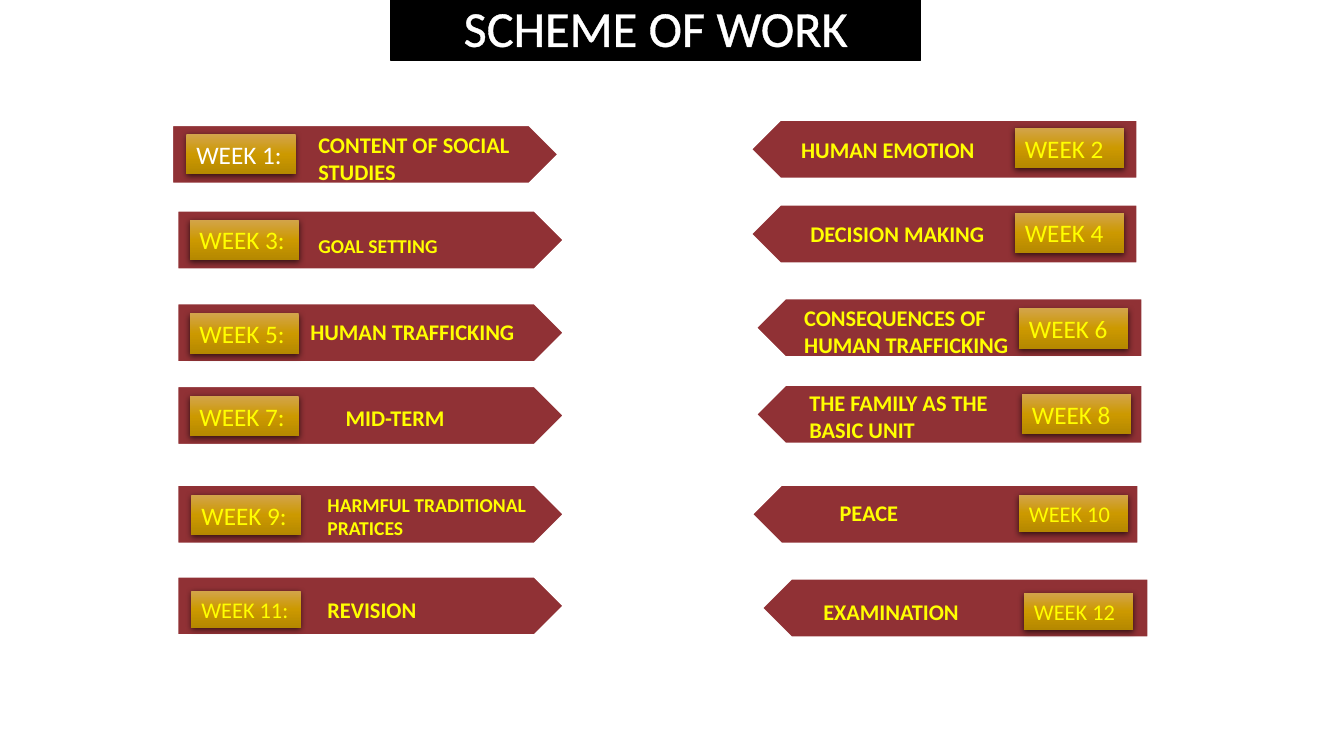
from dataclasses import dataclass

from pptx import Presentation
from pptx.dml.color import RGBColor
from pptx.enum.shapes import MSO_SHAPE
from pptx.enum.text import MSO_ANCHOR, MSO_AUTO_SIZE, PP_ALIGN
from pptx.oxml import parse_xml
from pptx.oxml.ns import nsdecls
from pptx.util import Pt

PENTAGON, RECTANGLE = MSO_SHAPE.PENTAGON, MSO_SHAPE.RECTANGLE
TOP, MIDDLE = MSO_ANCHOR.TOP, MSO_ANCHOR.MIDDLE
LEFT, CENTER = PP_ALIGN.LEFT, PP_ALIGN.CENTER
NO_AUTOFIT = MSO_AUTO_SIZE.NONE


@dataclass(frozen=True)
class Theme:
    font: str = "Calibri"
    white: str = "FFFFFF"
    black: str = "000000"
    banner: str = "903135"
    yellow: str = "FFFF00"
    gold: tuple = ((0, "D3A44B"), (50, "CC9900"), (100, "B58800"))
    title_size: int = 36
    week_size: int = 18
    long_week_size: int = 16
    topic_size: int = 16
    small_topic_size: int = 14


THEME = Theme()
BANNER_WIDTH, BANNER_HEIGHT, BADGE_WIDTH = 276, 42, 78


@dataclass(frozen=True)
class Week:
    """Banner, badge and topic are (left, top) in points."""
    topic: str
    banner: tuple
    badge: tuple
    topic_at: tuple
    topic_width: float
    lines: int = 1
    size: int = THEME.topic_size


SMALL = THEME.small_topic_size
WEEKS = [
    Week("CONTENT OF SOCIAL STUDIES", (123, 89.3), (133.2, 95.8), (220.3, 90), 154.8, lines=2),
    Week("HUMAN EMOTION", (536.4, 85.7), (725, 91.4), (565.2, 93.6), 180),
    Week("GOAL SETTING", (126.7, 150.5), (135.4, 157), (220.3, 163.4), 156.2, size=SMALL),
    Week("DECISION MAKING", (536.4, 146.2), (725, 151.9), (571.7, 153.4), 149.8),
    Week("HUMAN TRAFFICKING", (126.7, 216.7), (135.4, 223.9), (214.6, 223.9), 167.8),
    Week("CONSEQUENCES OF HUMAN TRAFFICKING", (540, 213.1), (727.9, 220.3), (567.4, 213.8), 180, lines=2),
    Week("MID-TERM", (126.7, 275.8), (135.4, 283), (239.8, 285.1), 142.6),
    Week("THE FAMILY AS THE BASIC UNIT", (540, 275), (730.1, 281.5), (571, 274.3), 157, lines=2),
    Week("HARMFUL TRADITIONAL PRATICES", (126.7, 346.3), (136.8, 353.5), (226.8, 348.5), 167.8, lines=2, size=SMALL),
    Week("PEACE", (537.1, 346.3), (727.9, 353.5), (592.6, 352.8), 114.5),
    Week("REVISION", (126.7, 411.8), (136.8, 421.9), (226.8, 421.9), 167.8),
    Week("EXAMINATION", (544.3, 413.3), (731.5, 423.4), (581, 423.4), 167.8),
]


def rgb(colour):
    return RGBColor.from_string(colour)


def text_height(size, lines=1):
    """Height of a box that fits its lines and the default insets."""
    return Pt(lines * size * 1.2 + 7.2)


def write(shape, text, size, colour, bold=False, outlined=False, align=LEFT, anchor=TOP):
    frame = shape.text_frame
    frame.text = text
    frame.word_wrap = True
    frame.auto_size = NO_AUTOFIT
    frame.vertical_anchor = anchor
    paragraph = frame.paragraphs[0]
    paragraph.alignment = align
    run = paragraph.runs[0]
    font = run.font
    font.name, font.size, font.bold = THEME.font, Pt(size), bold
    font.color.rgb = rgb(colour)
    if outlined:
        run._r.get_or_add_rPr().insert(0, parse_xml(
            f'<a:ln {nsdecls("a")} w="{Pt(1.45)}"><a:solidFill>'
            f'<a:srgbClr val="{THEME.white}"/></a:solidFill></a:ln>'))


def style_title(title):
    title.left, title.top, title.width, title.height = Pt(279.4), Pt(-5), Pt(378), Pt(48.2)
    # Pill outline goes right after the position
    title._element.spPr.insert(1, parse_xml(
        f'<a:prstGeom {nsdecls("a")} prst="roundRect"><a:avLst>'
        '<a:gd name="adj" fmla="val 50000"/></a:avLst></a:prstGeom>'))
    title.fill.solid()
    title.fill.fore_color.rgb = rgb(THEME.black)
    title.line.color.rgb = rgb(THEME.black)
    title.line.width = Pt(1)
    write(title, "SCHEME OF WORK", THEME.title_size, THEME.white,
          outlined=True, align=CENTER, anchor=MIDDLE)


def add_banner(slide, position, points_left):
    left, top = position
    banner = slide.shapes.add_shape(PENTAGON, Pt(left), Pt(top), Pt(BANNER_WIDTH), Pt(BANNER_HEIGHT))
    banner.shadow.inherit = False
    banner.fill.solid()
    banner.fill.fore_color.rgb = rgb(THEME.banner)
    banner.line.color.rgb = rgb(THEME.white)
    banner.line.width = Pt(1.5)
    if points_left:
        banner._element.spPr.xfrm.set("flipH", "1")


def add_badge(slide, position, label, size, colour, outlined):
    left, top = position
    badge = slide.shapes.add_shape(RECTANGLE, Pt(left), Pt(top), Pt(BADGE_WIDTH), text_height(size))
    badge.line.fill.background()
    properties = badge._element.spPr
    # Gold gradient from top to bottom
    stops = "".join(f'<a:gs pos="{place * 1000}"><a:srgbClr val="{gold}"/></a:gs>'
                    for place, gold in THEME.gold)
    properties.insert(2, parse_xml(
        f'<a:gradFill {nsdecls("a")} rotWithShape="1"><a:gsLst>{stops}</a:gsLst>'
        '<a:lin ang="5400000" scaled="0"/></a:gradFill>'))
    # Soft shadow below
    properties.append(parse_xml(
        f'<a:effectLst {nsdecls("a")}><a:outerShdw blurRad="{Pt(4.5)}" dist="{Pt(1.5)}" '
        f'dir="5400000" algn="ctr" rotWithShape="0"><a:srgbClr val="{THEME.black}">'
        '<a:alpha val="63000"/></a:srgbClr></a:outerShdw></a:effectLst>'))
    write(badge, label, size, colour, outlined=outlined)


def add_topic(slide, week):
    left, top = week.topic_at
    topic = slide.shapes.add_textbox(Pt(left), Pt(top), Pt(week.topic_width),
                                     text_height(week.size, week.lines))
    write(topic, week.topic, week.size, THEME.yellow, bold=True)


def main():
    deck = Presentation()
    deck.slide_width, deck.slide_height = Pt(960), Pt(540)
    slide = deck.slides.add_slide(deck.slide_layouts[5])

    # Title
    style_title(slide.shapes.title)

    # Weeks: odd ones on the left, even ones on the right
    for number, week in enumerate(WEEKS, start=1):
        on_right = number % 2 == 0
        first = number == 1
        label = f"WEEK {number}" if on_right else f"WEEK {number}:"
        size = THEME.week_size if number < 10 else THEME.long_week_size
        add_banner(slide, week.banner, points_left=on_right)
        add_badge(slide, week.badge, label, size,
                  THEME.white if first else THEME.yellow, outlined=not first)
        add_topic(slide, week)

    deck.save("out.pptx")


if __name__ == "__main__":
    main()
